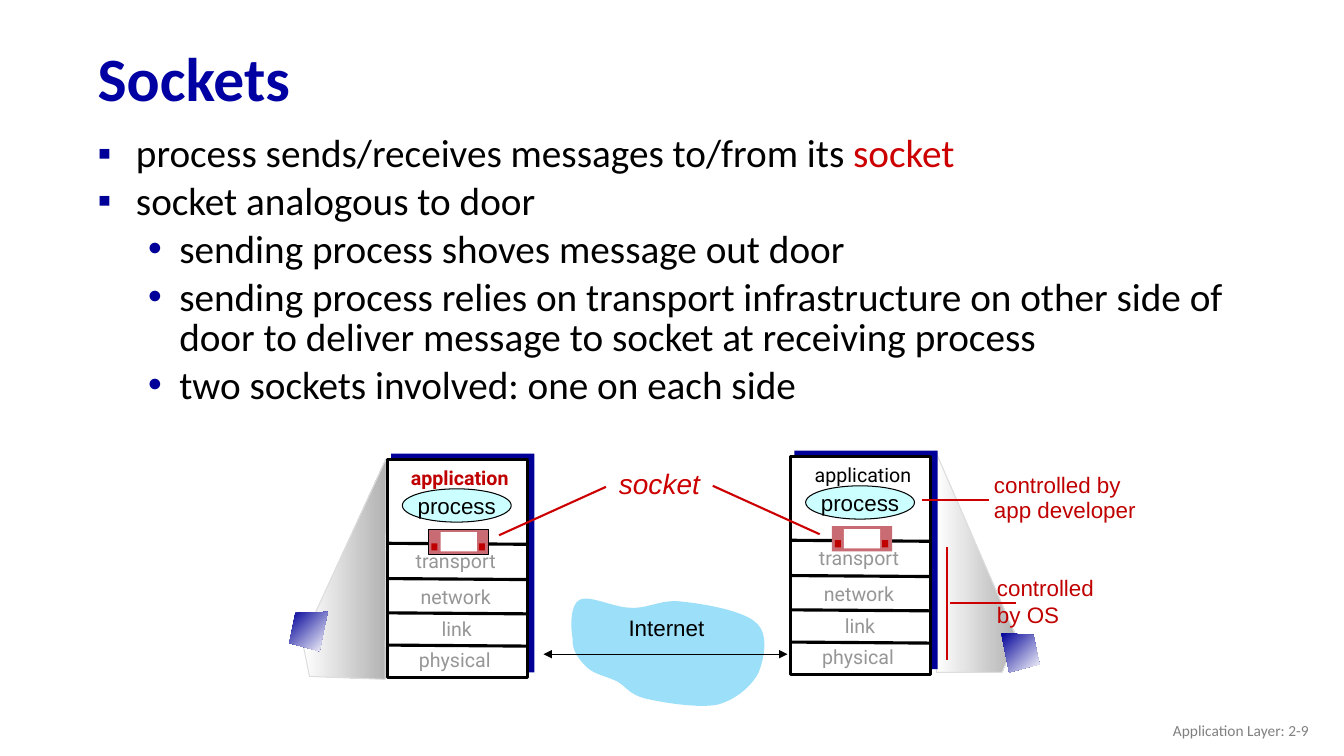
from typing import NamedTuple

from lxml import etree
from pptx import Presentation
from pptx.dml.color import RGBColor
from pptx.enum.shapes import MSO_CONNECTOR, MSO_SHAPE
from pptx.enum.text import MSO_ANCHOR, PP_ALIGN
from pptx.oxml.ns import qn
from pptx.util import Inches, Pt

RECT, OVAL = MSO_SHAPE.RECTANGLE, MSO_SHAPE.OVAL
LINE = MSO_CONNECTOR.STRAIGHT
TOP, MIDDLE = MSO_ANCHOR.TOP, MSO_ANCHOR.MIDDLE
LEFT, CENTER, RIGHT = PP_ALIGN.LEFT, PP_ALIGN.CENTER, PP_ALIGN.RIGHT

HUES = {
    "title": "0000A3", "navy": "000099", "black": "000000", "white": "FFFFFF",
    "red": "CC0000", "dark": "C00000", "rose": "C96B72", "aqua": "CCFFFF",
    "cloud": "9CDFF9", "gray": "969696", "shade": "B2B2B2", "edge": "DDDDDD",
    "foot": "808080",
}


class Point(NamedTuple):
    x: float
    y: float


class Item(NamedTuple):
    level: int
    runs: list[tuple[str, str]]


class Level(NamedTuple):
    mark: str
    left: float
    hang: float


class Host(NamedTuple):
    x: float
    y: float
    hue: str
    bold: bool
    rim: str | None


class Layer(NamedTuple):
    name: str
    x: float
    y: float


class Wire(NamedTuple):
    start: Point
    end: Point


class Patch(NamedTuple):
    points: list[Point]
    first: str
    last: str
    angle: float
    rim: str | None


class Note(NamedTuple):
    text: str
    area: tuple[float, float, float, float]
    form: dict


LEVELS = [Level("▪", 0.38, 0.38), Level("•", 0.81, 0.31)]
ITEMS = [
    Item(0, [("process sends/receives messages to/from its ", "black"), ("socket", "red")]),
    Item(0, [("socket analogous to door", "black")]),
    Item(1, [("sending process shoves message out door", "black")]),
    Item(1, [("sending process relies on transport infrastructure on other side of "
              "door to deliver message to socket at receiving process", "black")]),
    Item(1, [("two sockets involved: one on each side", "black")]),
]
HOSTS = [Host(3.84, 4.56, "dark", True, "black"), Host(7.84, 4.53, "black", False, None)]
LAYERS = [Layer("transport", -0.04, 0.81), Layer("network", -0.04, 1.17),
          Layer("link", -0.03, 1.49), Layer("physical", -0.05, 1.8)]
RULES = [0.83, 1.18, 1.52, 1.84]
BEAMS = [
    Patch([Point(10.08, 6.32), Point(9.28, 4.48), Point(9.29, 6.67), Point(9.94, 6.67)],
          "white", "shade", 0, "edge"),
    Patch([Point(3, 6.36), Point(3.83, 4.55), Point(3.82, 6.74), Point(3.07, 6.71)],
          "white", "shade", 0, "edge"),
]
CHIPS = [
    Patch([Point(3.25, 6.07), Point(2.93, 6.08), Point(2.87, 6.38), Point(3.17, 6.46)],
          "navy", "white", 315, None),
    Patch([Point(9.93, 6.28), Point(10.25, 6.3), Point(10.31, 6.59), Point(10.01, 6.67)],
          "navy", "white", 315, None),
]
WIRES = [
    Wire(Point(9.81, 4.96), Point(9.14, 4.96)),
    Wire(Point(9.39, 5.43), Point(9.39, 6.55)),
    Wire(Point(10.08, 5.98), Point(9.42, 5.98)),
    Wire(Point(4.95, 5.31), Point(6.01, 4.83)),
    Wire(Point(8.13, 5.3), Point(7.07, 4.82)),
]
CLOUD = [Point(*pair) for pair in [
    (5.68, 6.34), (5.66, 6.23), (5.65, 6), (5.75, 5.95), (5.85, 5.9), (6.09, 6.03),
    (6.26, 6.03), (6.43, 6.04), (6.56, 5.94), (6.77, 5.97), (6.98, 5.99), (7.38, 6.06),
    (7.5, 6.18), (7.63, 6.29), (7.58, 6.54), (7.52, 6.68), (7.45, 6.81), (7.3, 6.94),
    (7.12, 6.99), (6.93, 7.03), (6.57, 6.97), (6.4, 6.93), (6.24, 6.89), (6.21, 6.81),
    (6.12, 6.76), (6.02, 6.71), (5.89, 6.69), (5.82, 6.62), (5.75, 6.55), (5.67, 6.46),
    (5.68, 6.34)]]
NOTES = [
    Note("Sockets", (0.87, 0.32, 11.5, 0.98),
         dict(font="Calibri", size=44, hue="title", bold=True, space=0.9, anchor=MIDDLE)),
    Note("Internet", (6.13, 6.04, 0.96, 0.37), dict(align=CENTER, wrap=False)),
    Note("controlled\nby OS", (9.79, 5.65, 1.16, 0.9), dict(hue="dark", wrap=False)),
    Note("controlled by\napp developer", (9.76, 4.66, 1.61, 0.58),
         dict(hue="dark", space=0.9, wrap=False)),
    Note("socket", (6.04, 4.62, 1.1, 0.4), dict(size=20, hue="red", italic=True, space=0.9)),
    Note("Application Layer: 2-9", (10.08, 7.05, 3, 0.4),
         dict(font="Calibri", size=11, hue="foot", align=RIGHT, anchor=MIDDLE)),
]

deck = Presentation()
deck.slide_width, deck.slide_height = Inches(13.33), Inches(7.5)
shapes = deck.slides.add_slide(deck.slide_layouts[6]).shapes


def tint(name: str) -> RGBColor:
    return RGBColor.from_string(HUES[name])


def style(para, text: str, *, font="Arial", size=16, hue="black", bold=False,
          italic=False, align=LEFT, space=1.0) -> None:
    para.alignment, para.line_spacing = align, space
    run = para.add_run()
    run.text = text
    face = run.font
    face.name, face.size, face.bold, face.italic = font, Pt(size), bold, italic
    face.color.rgb = tint(hue)


def write(frame, text: str, *, anchor=TOP, wrap=True, **form) -> None:
    frame.word_wrap, frame.vertical_anchor = wrap, anchor
    for i, line in enumerate(text.split("\n")):
        style(frame.add_paragraph() if i else frame.paragraphs[0], line, **form)


def label(text: str, x: float, y: float, w: float, h: float, **form) -> None:
    box = shapes.add_textbox(Inches(x), Inches(y), Inches(w), Inches(h))
    write(box.text_frame, text, **form)


def trim(shape, rim: str | None, width: float) -> None:
    shape.shadow.inherit = False
    if rim:
        shape.line.color.rgb, shape.line.width = tint(rim), Pt(width)
    else:
        shape.line.fill.background()


def block(kind, x: float, y: float, w: float, h: float, fill: str,
          rim: str | None = None, width: float = 0.75):
    shape = shapes.add_shape(kind, Inches(x), Inches(y), Inches(w), Inches(h))
    shape.fill.solid()
    shape.fill.fore_color.rgb = tint(fill)
    trim(shape, rim, width)
    return shape


def link(start: Point, end: Point, hue: str, width: float, heads: bool = False) -> None:
    line = shapes.add_connector(LINE, *map(Inches, (*start, *end)))
    line.line.color.rgb, line.line.width = tint(hue), Pt(width)
    if heads:
        for tag in ("a:headEnd", "a:tailEnd"):
            etree.SubElement(line.line._get_or_add_ln(), qn(tag), type="triangle")
    etree.SubElement(line._element.spPr, qn("a:effectLst"))


def outline(points: list[Point]):
    maker = shapes.build_freeform(Inches(points[0].x), Inches(points[0].y))
    maker.add_line_segments([(Inches(p.x), Inches(p.y)) for p in points[1:]], close=True)
    return maker.convert_to_shape()


def blend(patch: Patch) -> None:
    shape = outline(patch.points)
    shape.fill.gradient()
    shape.fill.gradient_angle = patch.angle
    for stop, hue in zip(shape.fill.gradient_stops, (patch.first, patch.last)):
        stop.color.rgb = tint(hue)
    trim(shape, patch.rim, 0.75)


def bend(shape) -> None:
    sides = list(shape._element.iter(qn("a:lnTo")))
    for i in range(0, len(sides) - 2, 3):
        arc = etree.Element(qn("a:cubicBezTo"))
        sides[i].addprevious(arc)
        for side in sides[i:i + 3]:
            arc.append(side[0])
            side.getparent().remove(side)


def stack(host: Host) -> None:
    x, y = host.x, host.y
    block(RECT, x + 0.04, y - 0.06, 1.42, 2.17, "navy")
    block(RECT, x, y, 1.39, 2.16, "white", "black", 2.25)
    for rule in RULES:
        link(Point(x, y + rule), Point(x + 1.39, y + rule + 0.01), "black", 2.25)
    form = dict(font="Roboto", size=14, align=CENTER, space=1.1)
    label("application", x, y - 0.01, 1.44, 0.36, hue=host.hue, bold=host.bold, **form)
    for layer in LAYERS:
        label(layer.name, x + layer.x, y + layer.y, 1.44, 0.36, hue="gray", **form)
    oval = block(OVAL, x + 0.15, y + 0.29, 1.08, 0.33, "aqua", "black")
    write(oval.text_frame, "process", align=CENTER, anchor=MIDDLE, wrap=False)
    block(RECT, x + 0.41, y + 0.69, 0.6, 0.25, "rose", host.rim)
    block(RECT, x + 0.53, y + 0.72, 0.36, 0.19, "white")
    for side in (0.44, 0.91):
        block(RECT, x + side, y + 0.83, 0.06, 0.07, "dark")


def bullets(items: list[Item]) -> None:
    frame = shapes.add_textbox(Inches(0.87), Inches(1.3), Inches(11.99), Inches(2.55)).text_frame
    frame.word_wrap = True
    for i, item in enumerate(items):
        para = frame.add_paragraph() if i else frame.paragraphs[0]
        level, props = LEVELS[item.level], para._p.get_or_add_pPr()
        props.set("marL", str(Inches(level.left)))
        props.set("indent", str(-Inches(level.hang)))
        paint = etree.SubElement(props, qn("a:buClr"))
        etree.SubElement(paint, qn("a:srgbClr"), val=HUES["navy"])
        etree.SubElement(props, qn("a:buFont"), typeface="Arial")
        etree.SubElement(props, qn("a:buChar"), char=level.mark)
        para.level, para.space_before = item.level, Pt(5.6 if i else 0)
        for text, hue in item.runs:
            style(para, text, font="Calibri", size=28, hue=hue, space=0.85)


bullets(ITEMS)
for beam in BEAMS:
    blend(beam)
cloud = outline(CLOUD)
bend(cloud)
cloud.fill.solid()
cloud.fill.fore_color.rgb = tint("cloud")
trim(cloud, None, 0)
link(Point(5.39, 6.49), Point(7.81, 6.49), "black", 0.75, heads=True)
for host in HOSTS:
    stack(host)
for wire in WIRES:
    link(wire.start, wire.end, "red", 1.5)
for chip in CHIPS:
    blend(chip)
for note in NOTES:
    label(note.text, *note.area, **note.form)
deck.save("out.pptx")
